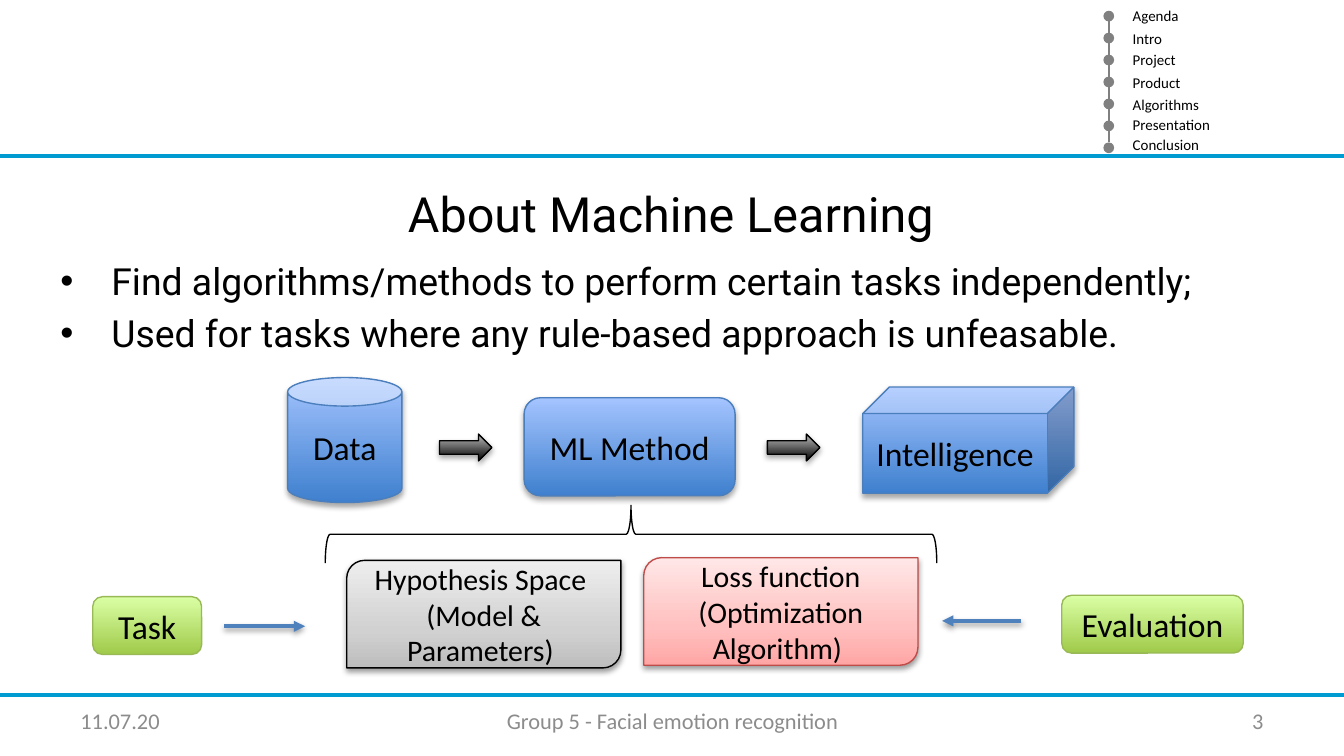
import pptx
import pptx.util
import pptx.dml.color
import pptx.enum.shapes
import pptx.enum.text
import pptx.oxml
import pptx.oxml.ns
from pptx.util import Inches, Pt

SHAPES = pptx.enum.shapes.MSO_SHAPE
ALIGN = pptx.enum.text.PP_ALIGN
ANCHOR = pptx.enum.text.MSO_ANCHOR
qualified = pptx.oxml.ns.qn
NAMESPACE = 'xmlns:a="http://schemas.openxmlformats.org/drawingml/2006/main"'

SLIDE_WIDTH = 10
SLIDE_HEIGHT = SLIDE_WIDTH * 9 / 16

THEME = {
    "body font": "Roboto", "label font": "Calibri",
    "title size": 26, "bullet size": 20, "node size": 18, "part size": 16,
    "footer size": 12, "agenda size": 8,
    "text": "000000", "footer": "8C8C8C", "agenda": "808080",
    "rule": "009CD1", "arrow": "4F81BD",
    # Style: gradient stops from bottom to top, outline colour
    "blue": ([(0, "3F80CE"), (100, "A4C4FF")], "4B7EBC"),
    "black": ([(0, "000000"), (100, "BDBDBD")], "000000"),
    "green": ([(0, "A0CA4A"), (100, "DAFFA5")], "98B955"),
    "gray": ([(0, "BDBDBD"), (35, "D1D1D1"), (100, "EEEEEE")], "000000"),
    "red": ([(0, "FFA6A5"), (35, "FFC0BF"), (100, "FFE7E7")], "BF4C48"),
}
# Shadow: opacity in percent, distance in points
STRONG_SHADOW, SOFT_SHADOW = (35, 1.8), (38, 1.6)

# Label, top of its text box
AGENDA = [("Agenda", 0), ("Intro", 0.17), ("Project", 0.33), ("Product", 0.5),
          ("Algorithms", 0.66), ("Presentation", 0.81), ("Conclusion", 0.96)]
TITLE = "About Machine Learning"
BULLETS = [
    "Find algorithms/methods to perform certain tasks independently;",
    "Used for tasks where any rule-based approach is unfeasable.",
]
FOOTERS = [
    ("11.07.20", 0.5, 2.33, ALIGN.LEFT),
    ("Group 5 - Facial emotion recognition", 3.42, 3.17, ALIGN.CENTER),
    ("3", 7.17, 2.33, ALIGN.RIGHT),
]
# Preset, box, style, shadow, type size, text
NODES = [
    (SHAPES.CAN, (2.14, 2.81, 0.85, 0.93), "blue", STRONG_SHADOW, "node size", "Data"),
    (SHAPES.RIGHT_ARROW, (3.27, 3.23, 0.39, 0.2), "black", STRONG_SHADOW, "node size", ""),
    (SHAPES.ROUNDED_RECTANGLE, (3.9, 2.96, 1.57, 0.73), "blue", STRONG_SHADOW,
     "node size", "ML Method"),
    (SHAPES.RIGHT_ARROW, (5.71, 3.23, 0.39, 0.2), "black", STRONG_SHADOW, "node size", ""),
    (SHAPES.CUBE, (6.42, 2.88, 1.57, 0.79), "blue", STRONG_SHADOW,
     "node size", "Intelligence"),
    (SHAPES.ROUNDED_RECTANGLE, (0.69, 4.44, 0.81, 0.43), "green", None,
     "node size", "Task"),
    (SHAPES.ROUND_2_DIAG_RECTANGLE, (2.58, 4.17, 2.04, 0.8), "gray", SOFT_SHADOW,
     "part size", "Hypothesis Space \n(Model & Parameters) "),
    (SHAPES.ROUND_2_DIAG_RECTANGLE, (4.79, 4.15, 2.04, 0.8), "red", SOFT_SHADOW,
     "part size", "Loss function\n(Optimization Algorithm) "),
    (SHAPES.ROUNDED_RECTANGLE, (7.9, 4.43, 1.35, 0.43), "green", None,
     "node size", "Evaluation"),
]
ARROWS = [(1.67, 2.27, 4.66), (7.6, 7.01, 4.62)]
RULES = [1.16, 5.17]


def color(name):
    return pptx.dml.color.RGBColor.from_string(name)


def write(shape, text, size, font="label font", ink="text", align=ALIGN.LEFT,
          anchor=ANCHOR.MIDDLE):
    frame = shape.text_frame
    frame.text = text
    frame.word_wrap = True
    frame.vertical_anchor = anchor
    for paragraph in frame.paragraphs:
        paragraph.alignment = align
        for run in paragraph.runs:
            run.font.size = Pt(THEME[size])
            run.font.name = THEME[font]
            run.font.color.rgb = color(THEME[ink])
    return frame


def add_text(slide, box, text, size, **style):
    textbox = slide.shapes.add_textbox(*map(Inches, box))
    return write(textbox, text, size, **style)


def set_shadow(properties, shadow):
    """Replace the inherited shadow; None leaves no shadow at all."""
    for effects in properties.findall(qualified("a:effectLst")):
        properties.remove(effects)
    outer = ""
    if shadow:
        opacity, distance = shadow
        outer = (f'<a:outerShdw blurRad="{Pt(3.1)}" dist="{Pt(distance)}" dir="5400000" '
                 f'rotWithShape="0"><a:srgbClr val="000000">'
                 f'<a:alpha val="{opacity * 1000}"/></a:srgbClr></a:outerShdw>')
    properties.append(pptx.oxml.parse_xml(
        f"<a:effectLst {NAMESPACE}>{outer}</a:effectLst>"))


def set_gradient(shape, stops):
    shape.fill.gradient()
    shape.fill.gradient_angle = 90
    stop_list = shape.element.spPr.find(".//" + qualified("a:gsLst"))
    stop_list.clear()
    for position, name in stops:
        stop_list.append(pptx.oxml.parse_xml(
            f'<a:gs {NAMESPACE} pos="{position * 1000}"><a:srgbClr val="{name}"/></a:gs>'))


def add_line(slide, start, end, ink, width, arrow=False, shadow=None):
    line = slide.shapes.add_connector(
        pptx.enum.shapes.MSO_CONNECTOR.STRAIGHT, *map(Inches, start + end))
    line.line.color.rgb = color(THEME[ink])
    line.line.width = Pt(width)
    if arrow:
        outline = line.element.spPr.find(qualified("a:ln"))
        outline.append(pptx.oxml.parse_xml(f'<a:tailEnd {NAMESPACE} type="triangle"/>'))
    set_shadow(line.element.spPr, shadow)


def add_agenda(slide):
    dot, left, top, bottom = 0.08, 8.21, 0.08, 1.06
    step = (bottom - top) / (len(AGENDA) - 1)
    add_line(slide, (8.25, 0.16), (8.25, bottom), "agenda", 1)
    for index, (label, label_top) in enumerate(AGENDA):
        marker = slide.shapes.add_shape(
            SHAPES.OVAL, *map(Inches, (left, top + index * step, dot, dot)))
        marker.shadow.inherit = False
        marker.fill.solid()
        marker.fill.fore_color.rgb = color(THEME["agenda"])
        marker.line.fill.background()
        add_text(slide, (8.33, label_top, 1.3, 0.24), label, "agenda size",
                 anchor=ANCHOR.TOP)


def add_heading_and_bullets(slide):
    title = add_text(slide, (0.33, 1.32, 9.33, 0.55), TITLE, "title size",
                     font="body font", align=ALIGN.CENTER, anchor=ANCHOR.TOP)
    bullets = add_text(slide, (0.35, 1.87, 9.18, 0.87), "\n".join(BULLETS),
                       "bullet size", font="body font", anchor=ANCHOR.TOP)
    title.paragraphs[0].space_before = Pt(0.2 * THEME["title size"])
    for paragraph in bullets.paragraphs:
        paragraph.space_before = Pt(0.2 * THEME["bullet size"])
        properties = paragraph._p.get_or_add_pPr()
        properties.set("marL", str(Inches(0.38)))
        properties.set("indent", str(-Inches(0.38)))
        properties.append(pptx.oxml.parse_xml(f'<a:buFont {NAMESPACE} typeface="Arial"/>'))
        properties.append(pptx.oxml.parse_xml(f'<a:buChar {NAMESPACE} char="•"/>'))


def add_diagram(slide):
    for preset, box, style, shadow, size, text in NODES:
        node = slide.shapes.add_shape(preset, *map(Inches, box))
        stops, outline = THEME[style]
        set_gradient(node, stops)
        node.line.color.rgb = color(outline)
        node.line.width = Pt(0.75)
        set_shadow(node.element.spPr, shadow)
        if text:
            write(node, text, size, align=ALIGN.CENTER)
    brace = slide.shapes.add_shape(
        SHAPES.RIGHT_BRACE, *map(Inches, (4.48, 1.7, 0.43, 4.55)))
    brace.rotation = 270
    brace.shadow.inherit = False
    brace.fill.background()
    brace.line.color.rgb = color(THEME["text"])
    brace.line.width = Pt(0.75)
    for start, end, y in ARROWS:
        add_line(slide, (start, y), (end, y), "arrow", 2, arrow=True, shadow=SOFT_SHADOW)


def main():
    presentation = pptx.Presentation()
    presentation.slide_width = Inches(SLIDE_WIDTH)
    presentation.slide_height = Inches(SLIDE_HEIGHT)
    slide = presentation.slides.add_slide(presentation.slide_layouts[6])
    add_agenda(slide)
    for y in RULES:
        add_line(slide, (0, y), (SLIDE_WIDTH, y), "rule", 2)
    add_heading_and_bullets(slide)
    for text, left, width, align in FOOTERS:
        add_text(slide, (left, 5.21, width, 0.3), text, "footer size",
                 ink="footer", align=align)
    add_diagram(slide)
    presentation.save("out.pptx")


if __name__ == "__main__":
    main()
